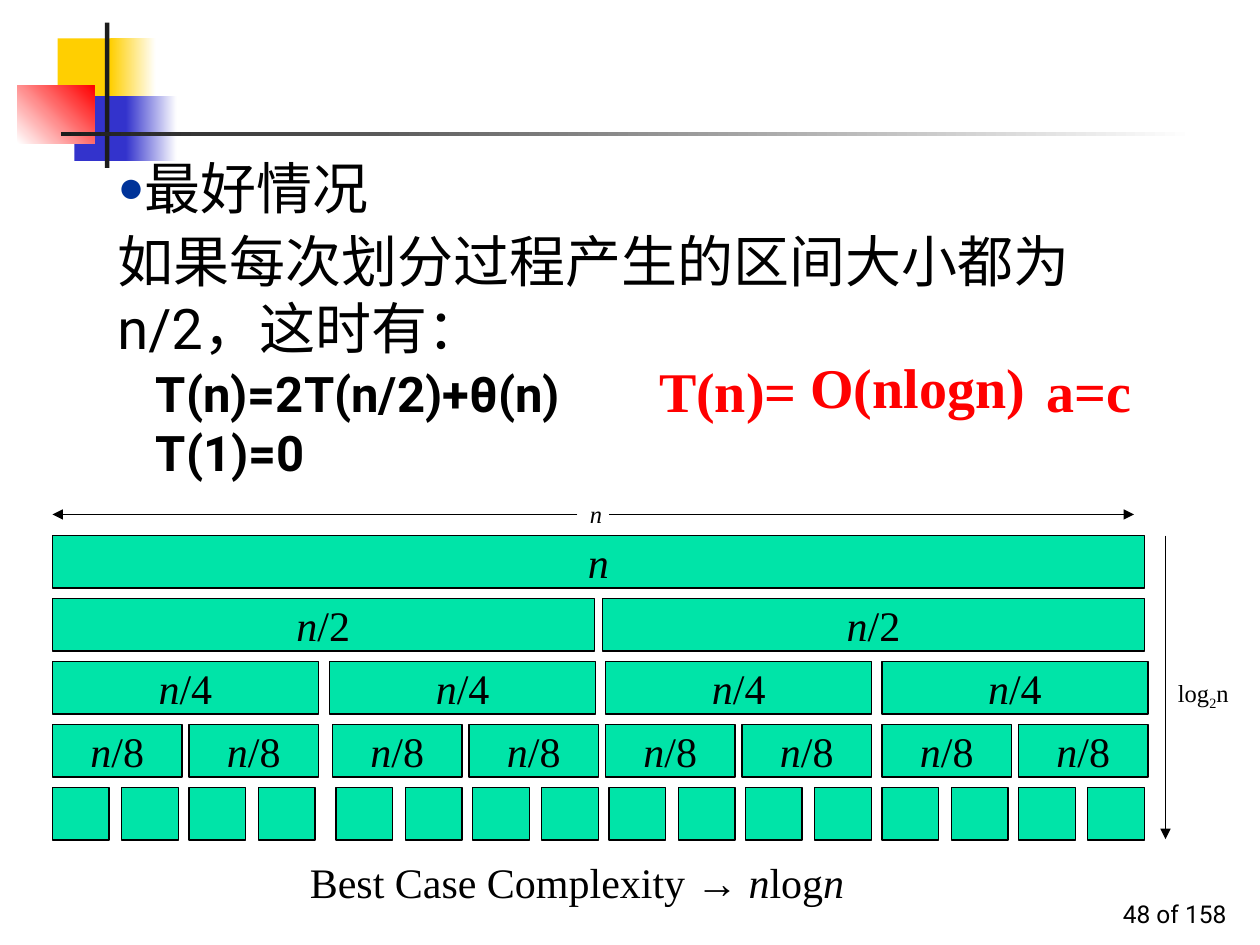
from lxml import etree
from pptx import Presentation
from pptx.dml.color import RGBColor
from pptx.enum.shapes import MSO_CONNECTOR, MSO_SHAPE
from pptx.enum.text import MSO_ANCHOR, PP_ALIGN
from pptx.oxml.ns import qn
from pptx.util import Pt

RECTANGLE = MSO_SHAPE.RECTANGLE
STRAIGHT = MSO_CONNECTOR.STRAIGHT
CENTER, RIGHT = PP_ALIGN.CENTER, PP_ALIGN.RIGHT
MIDDLE, BOTTOM = MSO_ANCHOR.MIDDLE, MSO_ANCHOR.BOTTOM
SANS, SERIF = "Roboto", "Times New Roman"
BLACK, WHITE, RED = "000000", "FFFFFF", "FF0000"
YELLOW, BLUE, DARK = "FFCF01", "3333CC", "1C1C1C"
GREEN, BULLET_BLUE = "00E4A8", "003399"

# Master decoration: left, top, width, height, colours, gradient angle
DECORATION = [
    (33, 22, 34.5, 37, [YELLOW], 0),
    (63, 22, 26, 37, [YELLOW, WHITE], 0),
    (42.5, 55, 33, 37, [BLUE], 0),
    (72, 55, 29, 37, [BLUE, WHITE], 0),
    (10, 49, 44, 33, [WHITE, RED], 45),
    (60, 13, 2.5, 83, [DARK], 0),
    (35, 75.5, 648, 2.3, [DARK, WHITE], 0),
]

# Recursion levels: divisor, block width, group starts, offsets in a group
LEVELS = [
    ("", 624, [30], [0]),
    ("/2", 309.6, [30, 344.4], [0]),
    ("/4", 152, [30, 188.4, 346.2, 504], [0]),
    ("/8", 74, [30, 190, 346, 504], [0, 78]),
    (None, 32.4, [30, 192, 348, 504], [0, 39.6, 78, 117.6]),
]
FIRST_ROW, ROW_PITCH, ROW_HEIGHT = 306, 36, 30


def color(value):
    return RGBColor.from_string(value)


def place(shape, left, top, width, height):
    shape.left, shape.top = Pt(left), Pt(top)
    shape.width, shape.height = Pt(width), Pt(height)


def format_span(span, size, font=SERIF, ink=BLACK, bold=False, italic=False):
    span.font.size = Pt(size)
    span.font.name = font
    span.font.bold = bold
    span.font.italic = italic
    span.font.color.rgb = color(ink)


def add_spans(para, size, spans):
    """Fill a paragraph with (text, style) pairs."""
    for text, style in spans:
        span = para.add_run()
        span.text = text
        format_span(span, size, **style)


def add_text(page, frame, text, size, wrap=True, **style):
    box = page.shapes.add_textbox(*map(Pt, frame))
    box.text_frame.word_wrap = wrap
    para = box.text_frame.paragraphs[0]
    para.text = text
    for span in para.runs:
        format_span(span, size, **style)
    return box


def add_block(page, frame, colors, angle=0):
    block = page.shapes.add_shape(RECTANGLE, *map(Pt, frame))
    block.shadow.inherit = False
    block.line.fill.background()
    if len(colors) == 1:
        block.fill.solid()
        block.fill.fore_color.rgb = color(colors[0])
    else:
        block.fill.gradient()
        block.fill.gradient_angle = angle
        for stop, value in zip(block.fill.gradient_stops, colors):
            stop.color.rgb = color(value)
    return block


def add_interval(page, frame, divisor):
    interval = add_block(page, frame, [GREEN])
    interval.line.color.rgb = color(BLACK)
    interval.line.width = Pt(0.75)
    if divisor is None:
        return
    interval.text_frame.word_wrap = False
    interval.text_frame.vertical_anchor = MIDDLE
    para = interval.text_frame.paragraphs[0]
    para.alignment = CENTER
    spans = [("n", {"italic": True})]
    if divisor:
        spans.append((divisor, {}))
    add_spans(para, 24, spans)


def add_arrow(page, x1, y1, x2, y2):
    arrow = page.shapes.add_connector(STRAIGHT, Pt(x1), Pt(y1), Pt(x2), Pt(y2))
    arrow.line.color.rgb = color(BLACK)
    arrow.line.width = Pt(0.75)
    etree.SubElement(arrow.line._get_or_add_ln(), qn("a:tailEnd"), type="triangle")
    etree.SubElement(arrow._element.spPr, qn("a:effectLst"))


def add_bullet(para):
    properties = para._p.get_or_add_pPr()
    properties.set("marL", "0")
    properties.set("indent", "0")
    bullet_color = etree.SubElement(properties, qn("a:buClr"))
    etree.SubElement(bullet_color, qn("a:srgbClr"), val=BULLET_BLUE)
    etree.SubElement(properties, qn("a:buSzPct"), val="80000")
    etree.SubElement(properties, qn("a:buChar"), char="●")


def add_heading(page):
    title, body = page.placeholders
    title._element.getparent().remove(title._element)
    place(body, 60, 84, 510, 46)
    para = body.text_frame.paragraphs[0]
    para.text = "最好情况"
    add_bullet(para)
    para.space_before = Pt(0)
    format_span(para.runs[0], 32, SANS)


def add_recurrence(page):
    add_text(page, (60, 126, 564, 84), "如果每次划分过程产生的区间大小都为n/2，这时有：", 32, font=SANS)
    add_text(page, (82, 204, 252, 75), "T(n)=2T(n/2)+θ(n)\vT(1)=0", 28,
             wrap=False, font=SANS, bold=True)


def add_tree(page):
    for level, (divisor, width, starts, offsets) in enumerate(LEVELS):
        top = FIRST_ROW + level * ROW_PITCH
        for start in starts:
            for offset in offsets:
                add_interval(page, (start + offset, top, width, ROW_HEIGHT), divisor)


def add_dimensions(page):
    add_arrow(page, 666, 306, 666, 479.5)
    depth = add_text(page, (666, 384, 48, 27), "", 14)
    para = depth.text_frame.paragraphs[0]
    add_spans(para, 14, [("log", {}), ("2", {}), ("n", {})])
    para.runs[1].font._element.set("baseline", "-25000")
    add_arrow(page, 330, 294, 30, 294)
    add_text(page, (330, 281.5, 30, 24.5), "n", 14, italic=True)
    add_arrow(page, 348, 294, 648, 294)


def add_conclusion(page):
    box = add_text(page, (170, 486, 372, 36), "", 24)
    add_spans(box.text_frame.paragraphs[0], 24, [
        ("Best Case Complexity ", {}), ("→", {"font": "Arial"}),
        (" n", {"italic": True}), ("log", {}), ("n", {"italic": True})])
    # Closed form of the recurrence
    for left, top, width, text in [(369.5, 200, 93, "T(n)="),
                                   (456, 198, 137, "O(nlogn)"),
                                   (591, 200, 63, "a=c")]:
        add_text(page, (left, top, width, 46), text, 32, wrap=False, ink=RED, bold=True)


def add_page_number(page):
    box = add_text(page, (558, 498, 150, 36), "48 of 158", 14, font=SANS)
    box.text_frame.vertical_anchor = BOTTOM
    box.text_frame.paragraphs[0].alignment = RIGHT


def main():
    deck = Presentation()
    deck.slide_width, deck.slide_height = Pt(720), Pt(540)
    page = deck.slides.add_slide(deck.slide_layouts[1])
    for *frame, colors, angle in DECORATION:
        add_block(page, frame, colors, angle)
    add_page_number(page)
    add_heading(page)
    add_recurrence(page)
    add_tree(page)
    add_dimensions(page)
    add_conclusion(page)
    deck.save("out.pptx")


if __name__ == "__main__":
    main()
